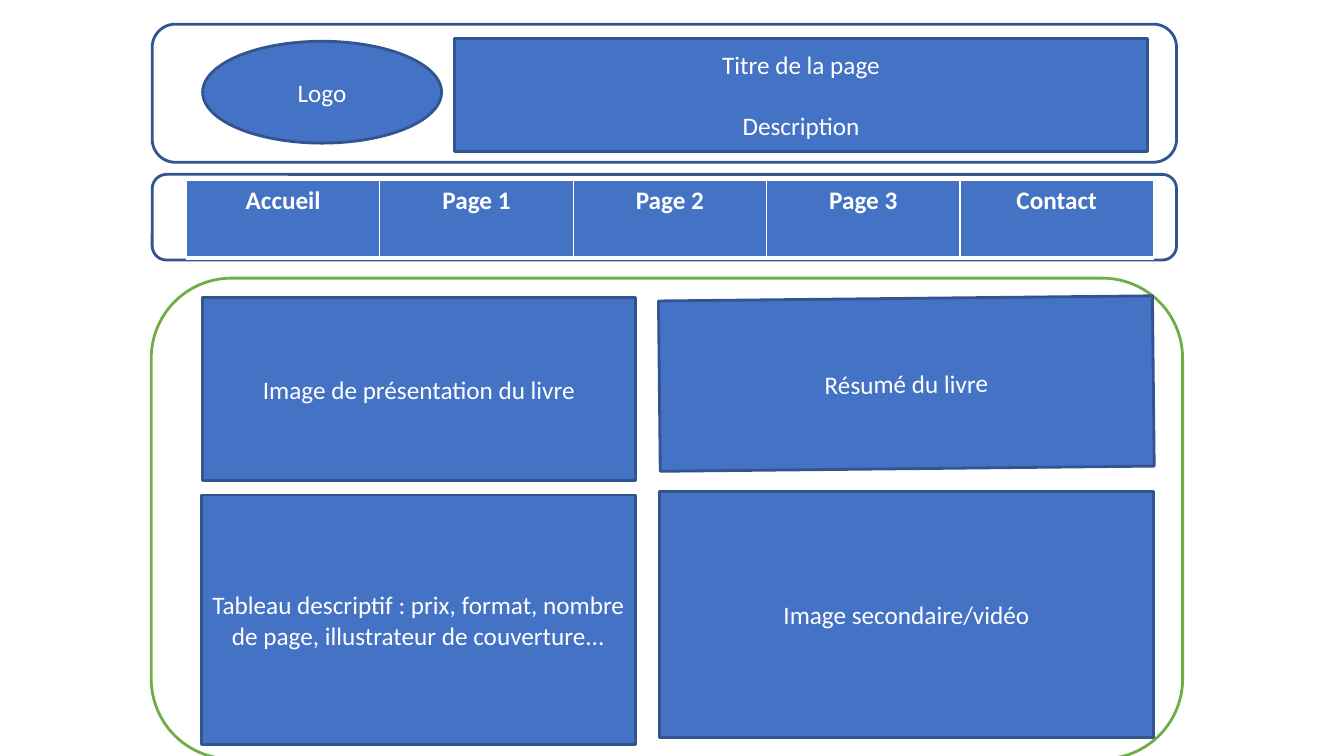
"""Build a wireframe slide for a book website."""
from lxml.etree import SubElement
from pptx import Presentation
from pptx.dml.color import RGBColor
from pptx.enum.shapes import MSO_SHAPE as Kind
from pptx.enum.text import MSO_ANCHOR as Anchor, PP_ALIGN as Align
from pptx.oxml.ns import qn
from pptx.util import Inches, Pt

HUES = {"white": "FFFFFF", "blue": "4472C4", "navy": "325491", "green": "70AD47"}
FRAMES = [
    ((1.51, 1.73, 10.16, 0.85), "navy"),
    ((1.5, 2.76, 10.23, 4.77), "green"),
    ((1.51, 0.24, 10.16, 1.37), "navy"),
]
BOXES = [
    (Kind.OVAL, (2.01, 0.41, 2.37, 1.01), 0, ["Logo"]),
    (Kind.RECTANGLE, (4.51, 0.38, 6.87, 1.12), 0, ["Titre de la page", "Description"]),
    (Kind.RECTANGLE, (2.01, 2.95, 4.29, 1.82), 0, ["Image de présentation du livre"]),
    (Kind.RECTANGLE, (6.54, 2.96, 4.9, 1.69), -0.6, ["Résumé du livre"]),
    (Kind.RECTANGLE, (2, 4.91, 4.3, 2.48), 0,
     ["Tableau descriptif : prix, format, nombre de page, illustrateur de couverture..."]),
    (Kind.RECTANGLE, (6.54, 4.88, 4.9, 2.44), 0, ["Image secondaire/vidéo"]),
]
MENU = ["Accueil", "Page 1", "Page 2", "Page 3", "Contact"]
MENU_AT = (1.85, 1.79, 9.59, 0.77)
EDGES = {"a:lnL": 1, "a:lnR": 1, "a:lnT": 1, "a:lnB": 3}


def hue(name):
    return RGBColor.from_string(HUES[name])


def add_box(kind, at, fill, line):
    box = slide.shapes.add_shape(kind, *map(Inches, at))
    box.shadow.inherit = False
    box.fill.solid()
    box.fill.fore_color.rgb = hue(fill)
    box.line.color.rgb = hue(line)
    box.line.width = Pt(2)
    return box


def style(para, bold=False):
    para.alignment = Align.CENTER
    para.font.name = "Calibri"
    para.font.size = Pt(18)
    para.font.bold = bold
    para.font.color.rgb = hue("white")


def add_edges(cell):
    props = cell._tc.get_or_add_tcPr()
    for tag, width in EDGES.items():
        edge = SubElement(props, qn(tag), w=str(Pt(width)))
        solid = SubElement(edge, qn("a:solidFill"))
        SubElement(solid, qn("a:srgbClr"), val=HUES["white"])


deck = Presentation()
deck.slide_width, deck.slide_height = Inches(13.33), Inches(7.5)
slide = deck.slides.add_slide(deck.slide_layouts[6])

for at, line in FRAMES:
    add_box(Kind.ROUNDED_RECTANGLE, at, "white", line)

for kind, at, turn, lines in BOXES:
    box = add_box(kind, at, "blue", "navy")
    box.rotation = turn
    frame = box.text_frame
    frame.word_wrap = True
    frame.vertical_anchor = Anchor.MIDDLE
    frame.text = "\n".join(lines)
    for para in frame.paragraphs:
        style(para)
    for para in frame.paragraphs[1:]:
        para.space_before = Pt(22)

menu = slide.shapes.add_table(1, len(MENU), *map(Inches, MENU_AT)).table
for cell, name in zip(menu.rows[0].cells, MENU):
    add_edges(cell)
    cell.fill.solid()
    cell.fill.fore_color.rgb = hue("blue")
    cell.text = name
    style(cell.text_frame.paragraphs[0], bold=True)

deck.save("out.pptx")
